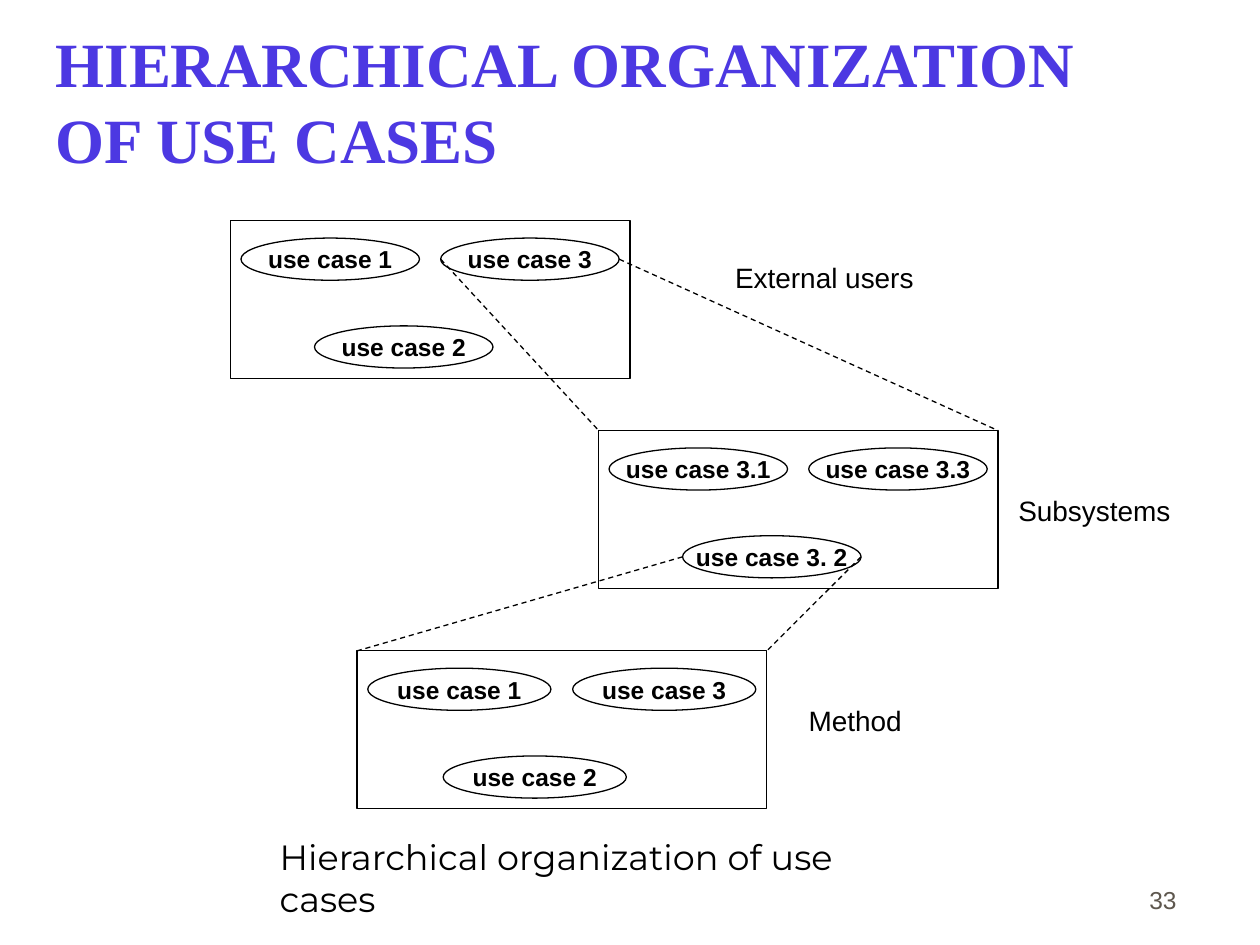
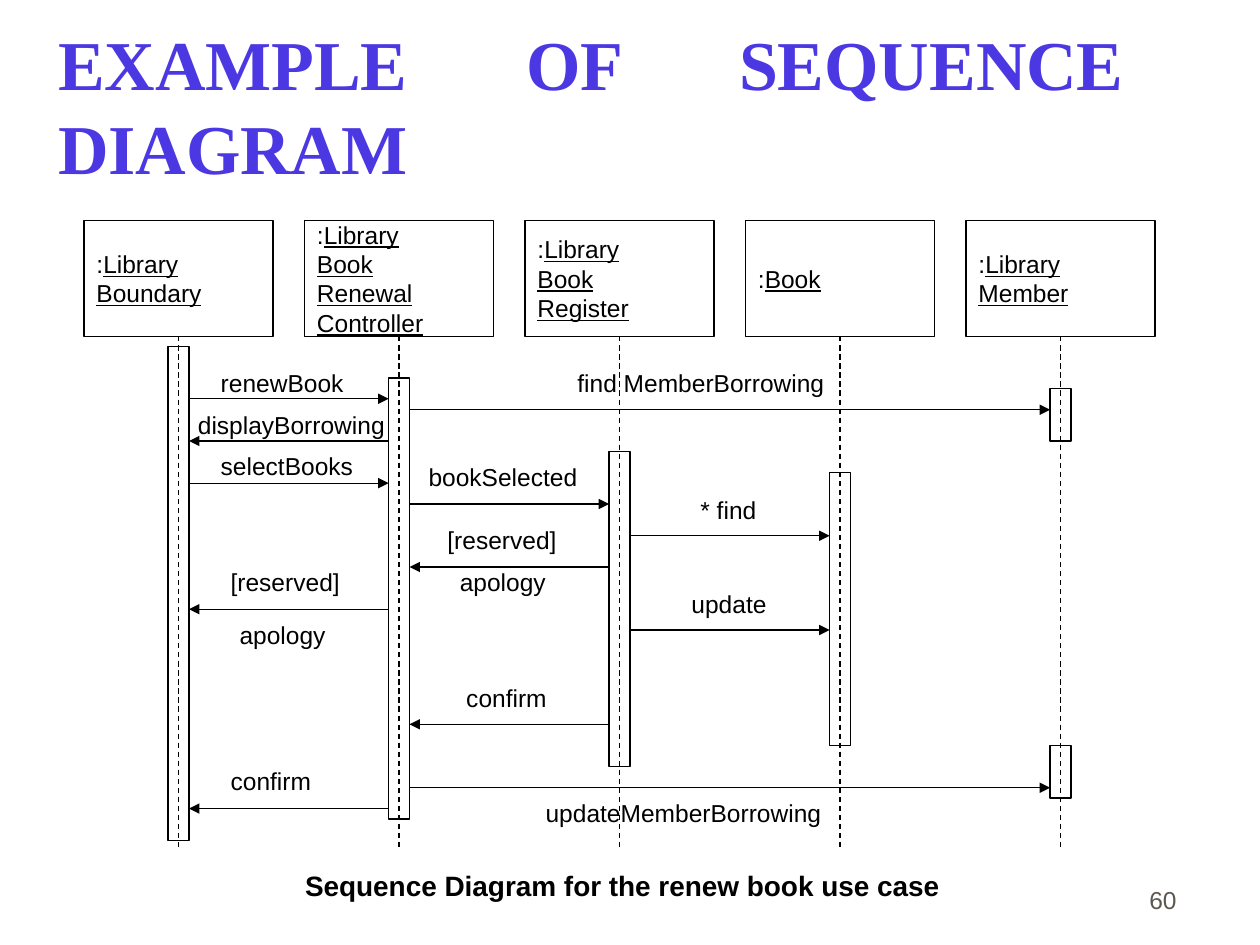
from lxml.etree import SubElement
from pptx import Presentation
from pptx.dml.color import RGBColor
from pptx.enum.dml import MSO_LINE
from pptx.enum.shapes import MSO_CONNECTOR, MSO_SHAPE
from pptx.enum.text import MSO_ANCHOR, MSO_AUTO_SIZE, PP_ALIGN
from pptx.oxml.ns import qn
from pptx.util import Cm, Pt

COLOURS = {"title": "4C38E2", "ink": "000000", "number": "5E574E"}
TITLE_FONT, BODY_FONT, CAPTION_FONT = "Times New Roman", "Arial", "Montserrat"
LINE_WIDTH = Pt(0.75)

BOUNDARY, CONTROLLER, REGISTER, BOOK, MEMBER = range(5)
FIRST_LIFELINE, LIFELINE_STEP, LIFELINE_END = 3.6, 4.445, 17.15
HEADING_TOP, HEADING_WIDTH, HEADING_HEIGHT = 4.45, 3.81, 2.33
BAR_WIDTH = 0.42

OBJECTS = [
    ["Library", "Boundary"],
    ["Library", "Book", "Renewal", "Controller"],
    ["Library", "Book", "Register"],
    ["Book"],
    ["Library", "Member"],
]
ACTIVATIONS = [
    (BOUNDARY, 6.99, 9.95),
    (CONTROLLER, 7.62, 8.89),
    (REGISTER, 9.1, 6.35),
    (BOOK, 9.53, 5.5),
    (MEMBER, 7.83, 1.06),
    (MEMBER, 15.03, 1.06),
]
MESSAGES = [
    (BOUNDARY, CONTROLLER, 8.04),
    (CONTROLLER, BOUNDARY, 8.89),
    (BOUNDARY, CONTROLLER, 9.74),
    (CONTROLLER, BOUNDARY, 12.28),
    (CONTROLLER, BOUNDARY, 16.3),
    (CONTROLLER, MEMBER, 8.26),
    (CONTROLLER, REGISTER, 10.16),
    (REGISTER, BOOK, 10.8),
    (REGISTER, CONTROLLER, 11.43),
    (REGISTER, BOOK, 12.7),
    (REGISTER, CONTROLLER, 14.6),
    (CONTROLLER, MEMBER, 15.88),
]
MESSAGE_LABELS = [
    ("renewBook", 4.45, 7.41, 2.7),
    ("displayBorrowing", 3.99, 8.26, 4),
    ("selectBooks", 4.45, 9.1, 2.9),
    ("[reserved]", 4.65, 11.43, 2.4),
    ("apology", 4.83, 12.5, 1.95),
    ("confirm", 4.65, 15.44, 1.85),
    ("find MemberBorrowing", 11.64, 7.41, 5.2),
    ("bookSelected", 8.64, 9.31, 3.2),
    ("* find", 14.12, 9.98, 1.35),
    ("update", 13.94, 11.88, 1.75),
    ("[reserved]", 9.02, 10.58, 2.4),
    ("apology", 9.27, 11.43, 1.95),
    ("confirm", 9.4, 13.76, 1.85),
    ("updateMemberBorrowing", 11, 16.09, 5.8),
]


def add_span(para, text, size, font=BODY_FONT, colour="ink", bold=False, underline=False):
    span = para.add_run()
    span.text = text
    span.font.name = font
    span.font.size = Pt(size)
    span.font.bold = bold
    span.font.underline = underline
    span.font.color.rgb = RGBColor.from_string(COLOURS[colour])


def set_margins(frame, across, down):
    frame.margin_left = frame.margin_right = Cm(across)
    frame.margin_top = frame.margin_bottom = Cm(down)


def add_title(page, text, left, top, size, align):
    title = page.shapes.title
    title.left, title.top, title.width, title.height = Cm(left), Cm(top), Cm(21.59), Cm(3.18)
    frame = title.text_frame
    frame.auto_size = MSO_AUTO_SIZE.NONE
    frame.vertical_anchor = MSO_ANCHOR.MIDDLE
    set_margins(frame, 0.05, 0.13)
    para = frame.paragraphs[0]
    para.alignment = align
    add_span(para, text, size, TITLE_FONT, "title", bold=True)


def add_text(page, left, top, width, height, margins=(0, 0)):
    box = page.shapes.add_textbox(Cm(left), Cm(top), Cm(width), Cm(height))
    box.text_frame.word_wrap = True
    set_margins(box.text_frame, *margins)
    return box.text_frame


def add_label(page, text, left, top, width, size=16, bold=False):
    frame = add_text(page, left, top, width, 0.58 if size < 16 else 0.68)
    add_span(frame.paragraphs[0], text, size, bold=bold)


def add_page_number(page, number):
    frame = add_text(page, 18.69, 17.3, 5.28, 1.27, (0.25, 0.13))
    frame.vertical_anchor = MSO_ANCHOR.BOTTOM
    para = frame.paragraphs[0]
    para.alignment = PP_ALIGN.RIGHT
    add_span(para, number, 14, colour="number")


def add_outline(page, preset, left, top, width, height):
    shape = page.shapes.add_shape(preset, Cm(left), Cm(top), Cm(width), Cm(height))
    shape.shadow.inherit = False
    shape.fill.background()
    shape.line.color.rgb = RGBColor.from_string(COLOURS["ink"])
    shape.line.width = LINE_WIDTH
    shape.text_frame.vertical_anchor = MSO_ANCHOR.MIDDLE
    return shape


def add_line(page, start_x, start_y, end_x, end_y, dashed=False, arrow=False):
    line = page.shapes.add_connector(MSO_CONNECTOR.STRAIGHT, start_x, start_y, end_x, end_y)
    line.line.color.rgb = RGBColor.from_string(COLOURS["ink"])
    line.line.width = LINE_WIDTH
    if dashed:
        line.line.dash_style = MSO_LINE.DASH
    if arrow:
        SubElement(line.line._get_or_add_ln(), qn("a:tailEnd"), type="triangle")
    SubElement(line._element.spPr, qn("a:effectLst"))
    return line


def add_use_case_box(page, left, top, width, names):
    box = add_outline(page, MSO_SHAPE.RECTANGLE, left, top, width, 3.18)
    places = [(0.026, 0.35), (0.21, 2.12), (0.526, 0.35)]
    ovals = []
    for name, (share, drop) in zip(names, places):
        oval = add_outline(page, MSO_SHAPE.OVAL, left + share * width, top + drop,
                           0.447 * width, 0.85)
        frame = oval.text_frame
        frame.word_wrap = False
        set_margins(frame, 0, 0)
        para = frame.paragraphs[0]
        para.alignment = PP_ALIGN.CENTER
        add_span(para, name, 14, bold=True)
        ovals.append(oval)
    return box, ovals


def add_refinement(page, oval, box):
    middle = oval.top + oval.height // 2
    add_line(page, oval.left, middle, box.left, box.top, dashed=True)
    add_line(page, oval.left + oval.width, middle, box.left + box.width, box.top, dashed=True)


def lifeline_x(column):
    return FIRST_LIFELINE + column * LIFELINE_STEP


def add_object(page, column, words):
    centre = lifeline_x(column)
    heading = add_outline(page, MSO_SHAPE.RECTANGLE, centre - HEADING_WIDTH / 2,
                          HEADING_TOP, HEADING_WIDTH, HEADING_HEIGHT)
    frame = heading.text_frame
    set_margins(frame, 0.25, 0.13)
    for index, word in enumerate(words):
        para = frame.add_paragraph() if index else frame.paragraphs[0]
        para.alignment = PP_ALIGN.LEFT
        if index == 0:
            add_span(para, ":", 14)
        add_span(para, word, 14, underline=True)
    lifeline = add_line(page, Cm(centre), Cm(HEADING_TOP + HEADING_HEIGHT),
                        Cm(centre), Cm(LIFELINE_END), dashed=True)
    lifeline.begin_connect(heading, 2)


def add_message(page, sender, receiver, height):
    reach = BAR_WIDTH / 2 if receiver > sender else -BAR_WIDTH / 2
    add_line(page, Cm(lifeline_x(sender) + reach), Cm(height),
             Cm(lifeline_x(receiver) - reach), Cm(height), arrow=True)


def build_hierarchy(page):
    add_title(page, "HIERARCHICAL ORGANIZATION OF USE CASES", 1.07, 0.43, 36, PP_ALIGN.LEFT)
    plain_names = ["use case 1", "use case 2", "use case 3"]
    users, user_ovals = add_use_case_box(page, 4.65, 4.45, 8.05, plain_names)
    subsystems, subsystem_ovals = add_use_case_box(
        page, 12.07, 8.68, 8.05, ["use case 3.1", "use case 3. 2", "use case 3.3"])
    method, method_ovals = add_use_case_box(page, 7.2, 13.12, 8.26, plain_names)
    add_refinement(page, user_ovals[2], subsystems)
    add_refinement(page, subsystem_ovals[1], method)
    add_label(page, "External users", 14.82, 5.25, 3.8)
    add_label(page, "Subsystems", 20.53, 9.95, 3.3)
    add_label(page, "Method", 16.3, 14.18, 2.1)
    caption = add_text(page, 5.39, 16.72, 13.06, 1.12, (0.25, 0.13))
    add_span(caption.paragraphs[0], "Hierarchical organization of use cases", 20, CAPTION_FONT)
    add_page_number(page, "33")


def build_sequence(page):
    add_title(page, "EXAMPLE OF SEQUENCE DIAGRAM", 1.12, 0.51, 40, PP_ALIGN.JUSTIFY)
    for column, words in enumerate(OBJECTS):
        add_object(page, column, words)
    for column, top, height in ACTIVATIONS:
        add_outline(page, MSO_SHAPE.RECTANGLE, lifeline_x(column) - BAR_WIDTH / 2,
                    top, BAR_WIDTH, height)
    for message in MESSAGES:
        add_message(page, *message)
    for label in MESSAGE_LABELS:
        add_label(page, *label, size=14)
    add_label(page, "Sequence Diagram for the renew book use case", 6.15, 17.5, 13.1, bold=True)
    add_page_number(page, "60")


def main():
    deck = Presentation()
    deck.slide_width, deck.slide_height = Cm(25.4), Cm(19.05)
    title_only = deck.slide_layouts[5]
    for build in (build_hierarchy, build_sequence):
        build(deck.slides.add_slide(title_only))
    deck.save("out.pptx")


if __name__ == "__main__":
    main()
